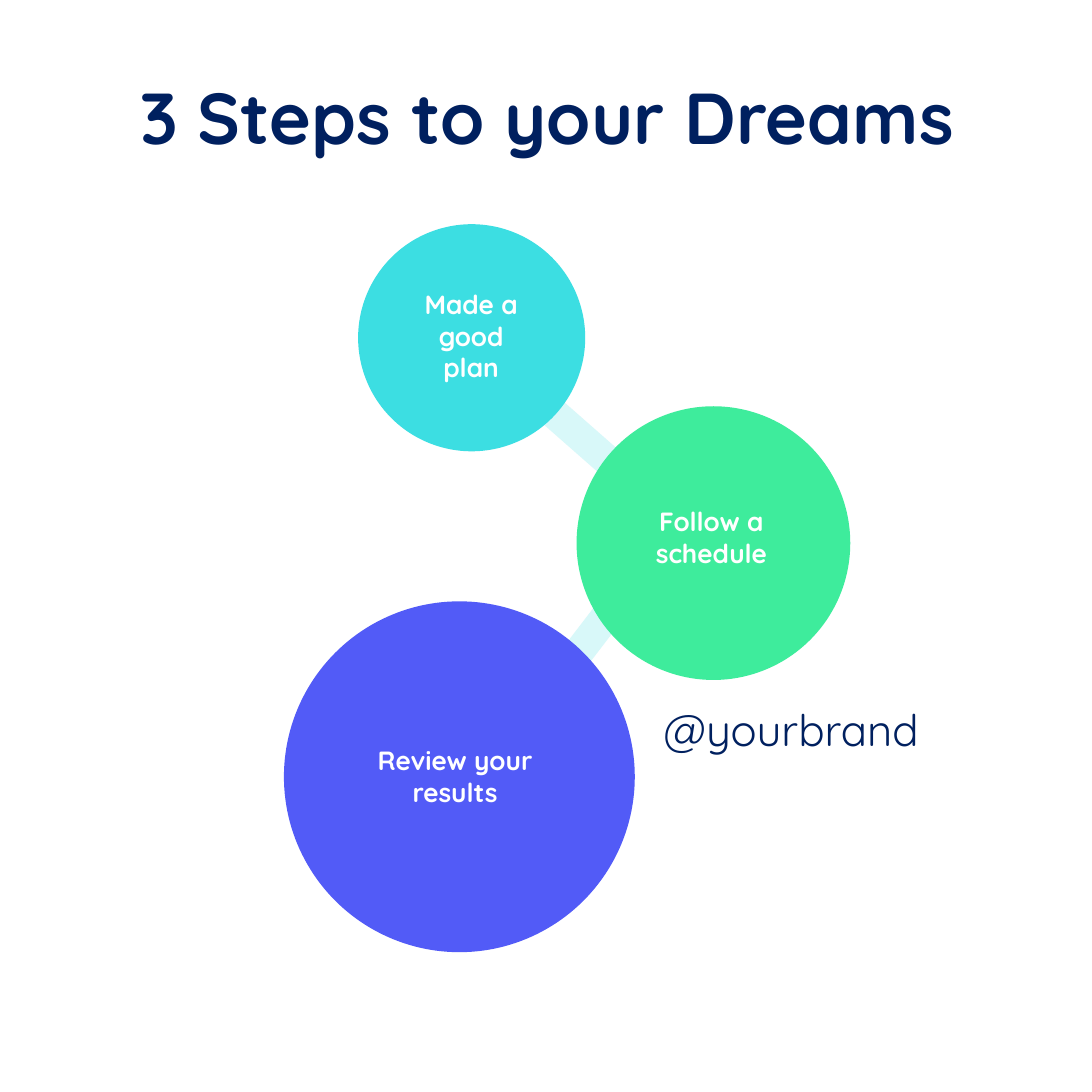
from lxml.etree import SubElement
from pptx import Presentation
from pptx.dml.color import RGBColor
from pptx.enum.shapes import MSO_CONNECTOR, MSO_SHAPE
from pptx.enum.text import MSO_ANCHOR, MSO_AUTO_SIZE, PP_ALIGN
from pptx.oxml.ns import qn
from pptx.util import Inches, Pt

COLOURS = {
    "navy": "00205F",
    "white": "FFFFFF",
    "link": "D8F8F9",
    "plan": "3CDEE2",
    "schedule": "3EEC9C",
    "review": "525BF7",
}
LINKS = [
    ((3.18, 2.29), (4.83, 3.74)),
    ((3.66, 4.89), (4.74, 3.48)),
]
STEPS = [
    ("Made a good plan", "plan", (2.46, 1.54, 1.56), (2.79, 1.82, 0.89, 0.97)),
    ("Follow a schedule", "schedule", (3.96, 2.79, 1.88), (4.44, 3.37, 0.89, 0.64)),
    ("Review your results", "review", (1.95, 4.13, 2.41), (2.58, 5.01, 1.09, 0.64)),
]


def colour(name):
    return RGBColor.from_string(COLOURS[name])


class StepsSlide:
    font = "Quicksand"

    def __init__(self, deck):
        self.page = deck.slides.add_slide(deck.slide_layouts[5])
        self.page.background.fill.solid()
        self.page.background.fill.fore_color.rgb = colour("white")
        self.diagram = self.page.shapes.add_group_shape()

    def add_text(self, box, text, size, tint, bold, align, anchor):
        frame = box.text_frame
        frame.word_wrap = True
        frame.auto_size = MSO_AUTO_SIZE.NONE
        frame.vertical_anchor = anchor
        para = frame.paragraphs[0]
        para.alignment = align
        span = para.add_run()
        span.text = text
        span.font.name = self.font
        span.font.size = Pt(size)
        span.font.bold = bold
        span.font.color.rgb = colour(tint)

    def title(self, text, left, top, width, height):
        box = self.page.shapes.title
        box.left, box.top = Inches(left), Inches(top)
        box.width, box.height = Inches(width), Inches(height)
        self.add_text(box, text, 35.6, "navy", True, PP_ALIGN.CENTER, MSO_ANCHOR.TOP)

    def link(self, start, end):
        points = [Inches(value) for value in start + end]
        line = self.diagram.shapes.add_connector(MSO_CONNECTOR.STRAIGHT, *points)
        line.line.color.rgb = colour("link")
        line.line.width = Pt(15)
        SubElement(line._element.spPr, qn("a:effectLst"))

    def circle(self, tint, left, top, size):
        circle = self.diagram.shapes.add_shape(
            MSO_SHAPE.OVAL, Inches(left), Inches(top), Inches(size), Inches(size))
        circle.shadow.inherit = False
        circle.fill.solid()
        circle.fill.fore_color.rgb = colour(tint)
        circle.line.fill.background()

    def textbox(self, left, top, width, height):
        return self.page.shapes.add_textbox(
            Inches(left), Inches(top), Inches(width), Inches(height))

    def label(self, text, *place):
        box = self.textbox(*place)
        frame = box.text_frame
        frame.margin_left = frame.margin_right = Inches(0.01)
        frame.margin_top = frame.margin_bottom = Inches(0.01)
        self.add_text(box, text, 13, "white", True, PP_ALIGN.CENTER, MSO_ANCHOR.MIDDLE)

    def handle(self, text, *place):
        box = self.textbox(*place)
        self.add_text(box, text, 21.6, "navy", False, PP_ALIGN.LEFT, MSO_ANCHOR.TOP)


def main():
    deck = Presentation()
    deck.slide_width = deck.slide_height = Inches(7.5)
    slide = StepsSlide(deck)
    slide.title("3 Steps to your Dreams", 0.56, 0.45, 6.4, 0.7)
    for start, end in LINKS:
        slide.link(start, end)
    for text, tint, circle, label in STEPS:
        slide.circle(tint, *circle)
        slide.label(text, *label)
    slide.handle("@yourbrand", 4.46, 4.78, 2.49, 0.46)
    deck.save("out.pptx")


if __name__ == "__main__":
    main()
